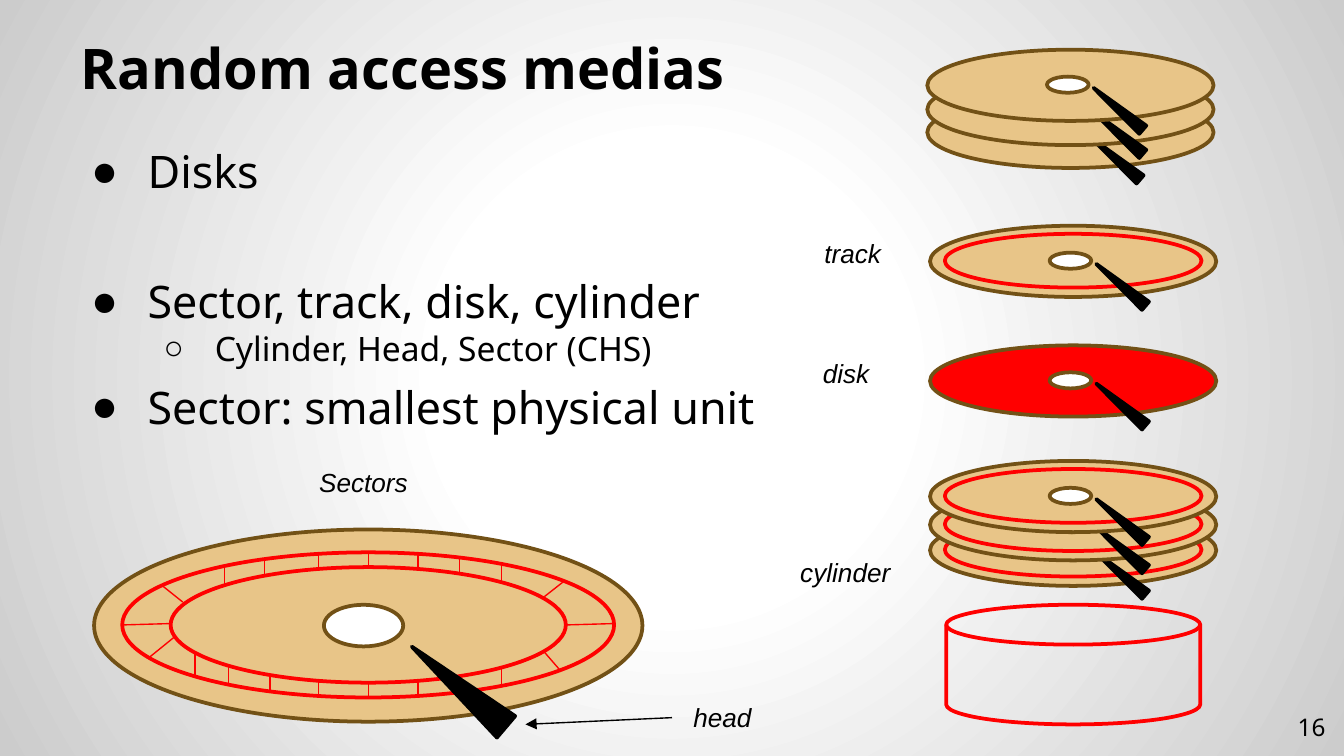
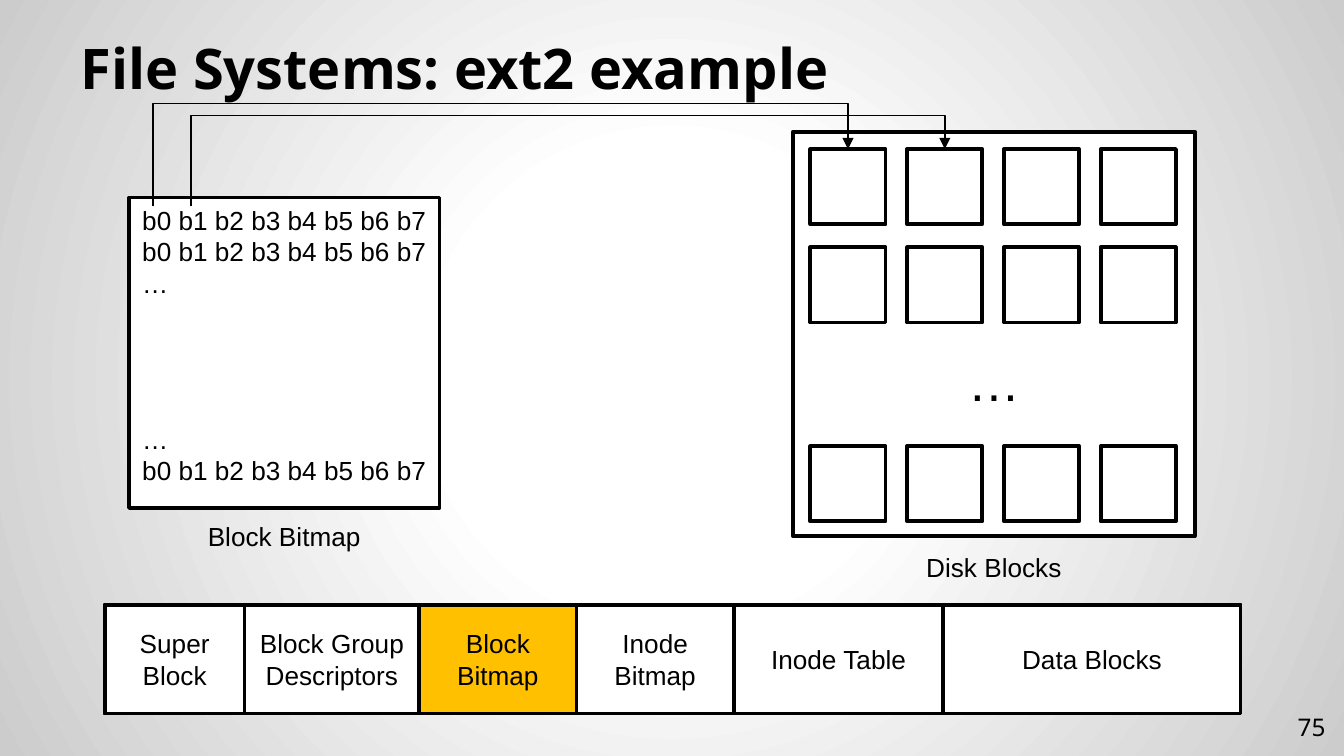
from math import sqrt

from lxml import etree
from pptx import Presentation
from pptx.dml.color import RGBColor
from pptx.enum.shapes import MSO_CONNECTOR, MSO_SHAPE
from pptx.enum.text import MSO_ANCHOR, PP_ALIGN
from pptx.oxml.ns import qn
from pptx.util import Inches, Pt

OVAL = MSO_SHAPE.OVAL
RECT = MSO_SHAPE.RECTANGLE
TRIANGLE = MSO_SHAPE.ISOSCELES_TRIANGLE
CYLINDER = MSO_SHAPE.FLOWCHART_MAGNETIC_DISK
STRAIGHT = MSO_CONNECTOR.STRAIGHT
ELBOW = MSO_CONNECTOR.ELBOW
LEFT, CENTER, RIGHT = PP_ALIGN.LEFT, PP_ALIGN.CENTER, PP_ALIGN.RIGHT
TOP, MIDDLE, BOTTOM = MSO_ANCHOR.TOP, MSO_ANCHOR.MIDDLE, MSO_ANCHOR.BOTTOM

COLORS = {
    "black": "000000",
    "white": "FFFFFF",
    "edge": "CCCCCC",
    "disk": "E8C588",
    "rim": "725116",
    "red": "FF0000",
    "highlight": "FFC000",
}
HEADING_FONT = "Noto Sans"
LABEL_FONT = "Arial"
TITLE_ONLY = 5
ARM_ANGLE = 310.4


def rgb(name):
    return RGBColor.from_string(COLORS[name])


def child(parent, tag, **attrs):
    return etree.SubElement(parent, qn(tag), {k: str(v) for k, v in attrs.items()})


def set_background(master):
    """Give the master a round gradient from white to grey."""
    master.background.fill.gradient()
    grad = next(master.element.iter(qn("p:bgPr"))).find(qn("a:gradFill"))
    for old in list(grad):
        grad.remove(old)
    stops = child(grad, "a:gsLst")
    for pos, color in ((0, "white"), (30, "white"), (100, "edge")):
        stop = child(stops, "a:gs", pos=pos * 1000)
        child(stop, "a:srgbClr", val=COLORS[color])
    center = child(grad, "a:path", path="circle")
    child(center, "a:fillToRect", l=50000, t=50000, r=50000, b=50000)


def write(p, text, size=14, font=LABEL_FONT, bold=False, italic=False,
          align=CENTER, before=0):
    p.alignment = align
    p.space_before = Pt(before)
    r = p.add_run()
    r.text = text
    r.font.size = Pt(size)
    r.font.name = font
    r.font.bold = bold
    r.font.italic = italic
    r.font.color.rgb = rgb("black")


def set_frame(tf, anchor=TOP, inset=0.05, right=0.1):
    """Wrap the text; inset is the margin above and below it."""
    tf.word_wrap = True
    tf.vertical_anchor = anchor
    tf.margin_left, tf.margin_right = Inches(0.1), Inches(right)
    tf.margin_top = tf.margin_bottom = Inches(inset)


def add_text(s, box, text, anchor=TOP, inset=0.05, **fmt):
    tf = s.shapes.add_textbox(*map(Inches, box)).text_frame
    set_frame(tf, anchor, inset)
    write(tf.paragraphs[0], text, **fmt)


def add_shape(s, kind, box, fill=None, line="black", rotation=0):
    sp = s.shapes.add_shape(kind, *map(Inches, box))
    sp.shadow.inherit = False
    sp.rotation = rotation
    if fill:
        sp.fill.solid()
        sp.fill.fore_color.rgb = rgb(fill)
    else:
        sp.fill.background()
    sp.line.color.rgb = rgb(line)
    sp.line.width = Pt(2)
    return sp


def add_line(s, start, end, color="black", arrow=False, kind=STRAIGHT):
    cxn = s.shapes.add_connector(kind, *map(Inches, (*start, *end)))
    cxn.line.color.rgb = rgb(color)
    cxn.line.width = Pt(0.75)
    props = cxn._element.spPr
    if arrow:
        child(props.find(qn("a:ln")), "a:tailEnd", type="triangle")
    child(props, "a:effectLst")
    return cxn


def add_route(s, start, end, lane):
    """Arrow that goes up from start to the height lane, across, and down to end."""
    cxn = add_line(s, start, end, arrow=True, kind=ELBOW)
    geom = cxn._element.spPr.find(qn("a:prstGeom"))
    geom.set("prst", "bentConnector4")
    guides = geom.find(qn("a:avLst"))
    if guides is None:
        guides = child(geom, "a:avLst")
    rise = (start[1] - lane) / (start[1] - end[1])
    for name, value in (("adj1", 0), ("adj2", round(rise * 100000))):
        child(guides, "a:gd", name=name, fmla=f"val {value}")


def add_slide(prs, title, number):
    s = prs.slides.add_slide(prs.slide_layouts[TITLE_ONLY])
    sp = s.shapes.title
    sp.left, sp.top, sp.width, sp.height = map(Inches, (0.5, 0.23, 9, 0.62))
    set_frame(sp.text_frame, BOTTOM, 0.1)
    write(sp.text_frame.paragraphs[0], title, size=30, font=HEADING_FONT,
          bold=True, align=LEFT)
    add_text(s, (9.36, 5.19, 0.6, 0.43), number, MIDDLE, 0.1, size=13,
             font=HEADING_FONT, align=RIGHT)
    return s


def add_bullets(s, box, items):
    """items holds (text, level, space before)."""
    tf = s.shapes.add_textbox(*map(Inches, box)).text_frame
    set_frame(tf, inset=0.1)
    styles = (("●", 0.5, -0.42, 24), ("○", 1, -0.38, 18))
    for i, (text, level, before) in enumerate(items):
        mark, margin, indent, size = styles[level]
        p = tf.add_paragraph() if i else tf.paragraphs[0]
        p.level = level
        write(p, text, size=size, font=HEADING_FONT, align=LEFT, before=before)
        props = p._p.get_or_add_pPr()
        props.set("marL", str(Inches(margin)))
        props.set("indent", str(Inches(indent)))
        child(child(props, "a:buClr"), "a:srgbClr", val=COLORS["black"])
        child(props, "a:buFont", typeface=LABEL_FONT)
        child(props, "a:buChar", char=mark)


def add_disk(s, left, top, fill="disk", hole=True, track=True, arm=(1.38, 0.2)):
    """Small disk with its head arm, which is offset by arm."""
    add_shape(s, OVAL, (left, top, 2.13, 0.53), fill, "rim")
    if hole:
        add_shape(s, OVAL, (left + 0.89, top + 0.2, 0.31, 0.12), "white", "rim")
    if track:
        add_shape(s, OVAL, (left + 0.11, top + 0.06, 1.91, 0.4), line="red")
    add_shape(s, TRIANGLE, (left + arm[0], top + arm[1], 0.08, 0.48), "black",
              rotation=ARM_ANGLE)


def add_sector_disk(s):
    """Large disk with one track cut into sectors."""
    cx, cy = 2.74, 4.65
    radii = ((1.83, 0.54), (1.47, 0.43))
    add_shape(s, OVAL, (0.7, 3.94, 4.08, 1.43), "disk", "rim")
    add_shape(s, OVAL, (2.41, 4.5, 0.59, 0.31), "white", "rim")
    for rx, ry in radii:
        add_shape(s, OVAL, (cx - rx, cy - ry, 2 * rx, 2 * ry), line="red")

    shared = (2.37, 2.74, 3.11, 3.42, 3.73)
    for side, xs in ((-1, (1.67, 1.97, *shared)), (1, (1.45, 1.7, 2.01, *shared))):
        for x in xs:
            outer, inner = ((x, cy + side * ry * sqrt(1 - ((x - cx) / rx) ** 2))
                            for rx, ry in radii)
            add_line(s, outer, inner, "red")
    slanted = (
        ((4.04, 4.84), (4.17, 4.99)), ((1.31, 4.73), (1.1, 4.9)),
        ((0.91, 4.65), (1.27, 4.64)), ((4.21, 4.65), (4.57, 4.64)),
        ((1.36, 4.48), (1.21, 4.36)), ((4.19, 4.33), (4.05, 4.44)),
    )
    for start, end in slanted:
        add_line(s, start, end, "red")
    add_shape(s, TRIANGLE, (3.31, 4.65, 0.21, 0.92), "black", rotation=ARM_ANGLE)


def build_disks(prs):
    s = add_slide(prs, "Random access medias", "16")
    add_disk(s, 6.9, 0.72, hole=False, track=False, arm=(1.36, 0.22))
    add_disk(s, 6.9, 0.55, hole=False, track=False)
    add_disk(s, 6.9, 0.37, track=False)
    add_bullets(s, (0.5, 0.97, 9, 4.41), (
        ("Disks", 0, 0),
        ("Sector, track, disk, cylinder", 0, 41),
        ("Cylinder, Head, Sector (CHS)", 1, 0),
        ("Sector: smallest physical unit", 0, 6),
    ))
    add_disk(s, 6.92, 1.68)
    add_disk(s, 6.92, 2.57, fill="red", track=False)
    for top in (3.83, 3.64, 3.43):
        add_disk(s, 6.92, top)
    add_shape(s, CYLINDER, (7.04, 4.5, 1.89, 0.89), line="red")
    add_sector_disk(s)
    for text, left, top, width in (
        ("track", 5.97, 1.72, 0.75), ("disk", 5.92, 2.61, 0.75),
        ("cylinder", 5.77, 4.09, 1.04), ("Sectors", 1.84, 3.42, 1.73),
        ("head", 5, 5.17, 0.75),
    ):
        add_text(s, (left, top, width, 0.34), text, italic=True)
    add_line(s, (5, 5.34), (3.91, 5.39), arrow=True)


def add_group_layout(s):
    """Strip with the parts of one block group."""
    left, top, height = 0.78, 4.5, 0.81
    add_shape(s, RECT, (left, top, 8.45, height))
    for text, width in (
        ("Super Block", 1.04), ("Block Group Descriptors", 1.3),
        ("Block Bitmap", 1.17), ("Inode Bitmap", 1.17),
        ("Inode Table", 1.56), ("Data Blocks", 2.21),
    ):
        fill = "highlight" if text == "Block Bitmap" else "white"
        sp = add_shape(s, RECT, (left, top, width, height), fill)
        set_frame(sp.text_frame, MIDDLE)
        write(sp.text_frame.paragraphs[0], text)
        left += width


def add_bitmap(s):
    tf = add_shape(s, RECT, (0.96, 1.47, 2.31, 2.31), "white").text_frame
    set_frame(tf, right=0.05)
    bits = " ".join(f"b{i}" for i in range(8))
    rows = ((bits, 0), (bits, 0), ("…", 0), ("…", 67), (bits, 0))
    for i, (text, before) in enumerate(rows):
        p = tf.add_paragraph() if i else tf.paragraphs[0]
        write(p, text, align=LEFT, before=before)
    add_text(s, (0.96, 3.82, 2.31, 0.34), "Block Bitmap")


def add_disk_blocks(s):
    add_text(s, (6.24, 4.05, 2.31, 0.34), "Disk Blocks")
    add_shape(s, RECT, (5.9, 0.98, 2.99, 3.01), "white")
    for top in (1.11, 1.84, 3.32):
        for col in range(4):
            add_shape(s, RECT, (6.03 + 0.72 * col, top, 0.56, 0.56), "white")
    add_text(s, (5.9, 2.55, 2.99, 0.57), "…", size=28)


def build_ext2(prs):
    s = add_slide(prs, "File Systems: ext2 example", "75")
    add_group_layout(s)
    add_bitmap(s)
    add_disk_blocks(s)
    add_route(s, (1.14, 1.53), (6.31, 1.11), lane=0.77)
    add_route(s, (1.42, 1.53), (7.03, 1.11), lane=0.86)


def main():
    prs = Presentation()
    prs.slide_width, prs.slide_height = Inches(10), Inches(10 * 9 / 16)
    set_background(prs.slide_master)
    build_disks(prs)
    build_ext2(prs)
    prs.save("out.pptx")


if __name__ == "__main__":
    main()
